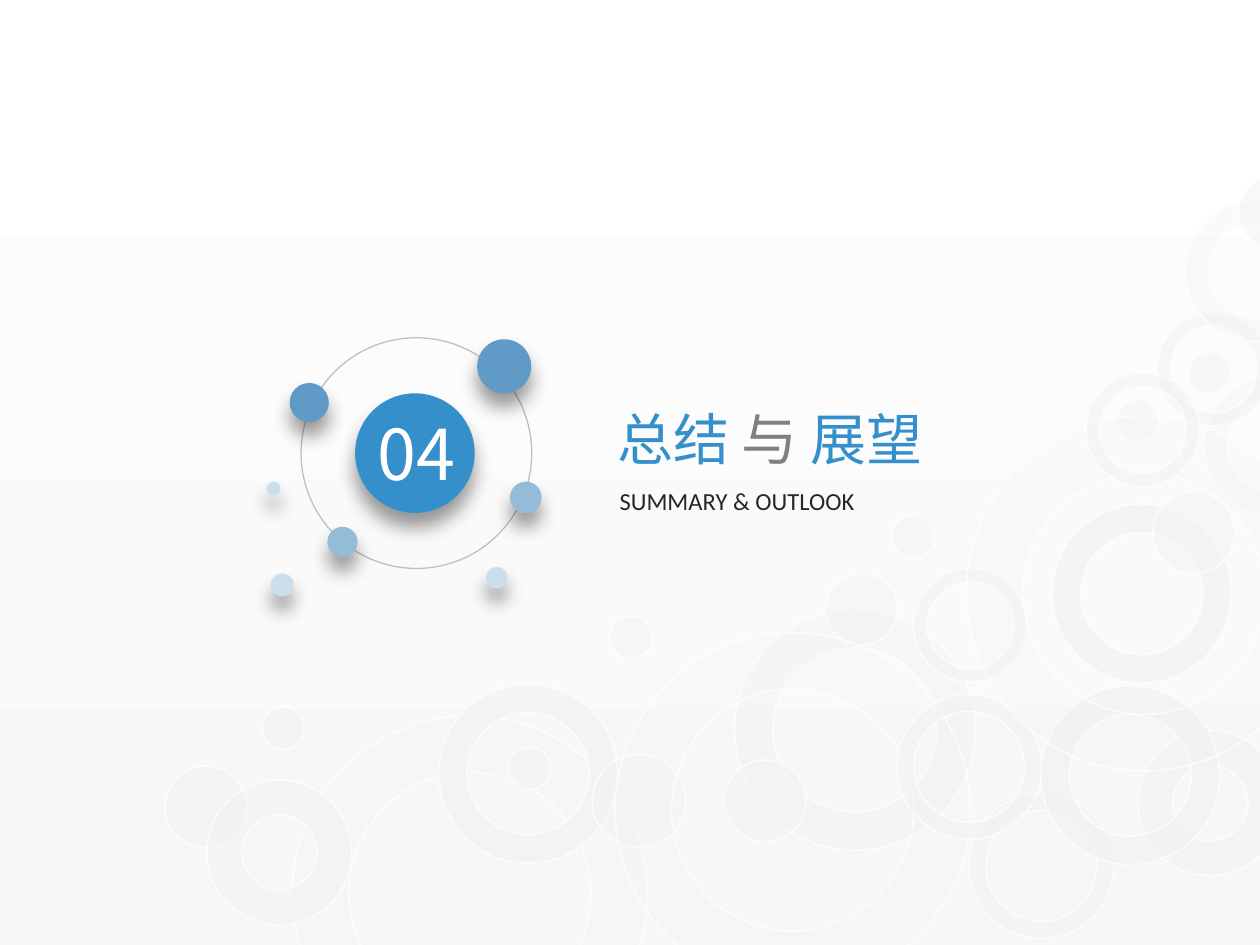
from dataclasses import dataclass

from lxml import etree
from pptx import Presentation
from pptx import util as u
from pptx.dml.color import RGBColor
from pptx.enum import shapes, text
from pptx.oxml.ns import qn


@dataclass(frozen=True)
class Theme:
    white: str = "FFFFFF"
    background_end: str = "F7F7F7"
    bubble: str = "F2F2F2"
    orbit: str = "BFBFBF"
    accent: str = "358FCB"
    strong: str = "5F9BC6"
    medium: str = "94BCD9"
    light: str = "CADEEC"
    muted: str = "808080"
    body: str = "262626"
    shadow: str = "000000"
    number_font: str = "Noto Sans CJK SC"
    title_font: str = "Manrope"
    subtitle_font: str = "Calibri"
    number_size: int = 40
    title_size: int = 32
    subtitle_size: int = 14


THEME = Theme()

# Bubble kind: diameter in cm, ring thickness ratio (None for a disc), opacity in percent
BUBBLES = {
    "giant": (7.16, 0.159, 13),
    "wide": (4.85, 0.159, 42),
    "bold": (3.61, 0.159, 75),
    "pale": (2.84, 0.159, 31),
    "thick": (2.92, 0.24, 54),
    "slim": (2.92, 0.117, 54),
    "slim small": (2.29, 0.117, 54),
    "disc large": (1.88, None, 39),
    "disc": (1.65, None, 47),
    "disc small": (1.45, None, 47),
    "dot": (0.86, None, 47),
}

# Clusters from back to front: rotation, then kind, left and top in cm
CLUSTERS = [
    (101.7, [
        ("bold", 21.21, 10.16), ("pale", 24.28, 7.57), ("giant", 5.89, 14.43),
        ("slim", 19.53, 16), ("slim small", 23.32, 6.3), ("disc", 23.24, 9.91),
        ("dot", 22.5, 8.05),
    ]),
    (341.7, [
        ("wide", 14.81, 12.29), ("bold", 8.84, 13.79), ("disc large", 11.94, 15.21),
        ("disc small", 16.64, 11.56), ("giant", 12.4, 12.75), ("slim", 18.08, 14),
        ("slim small", 18.42, 11.46), ("thick", 22.94, 14.73), ("dot", 12.29, 12.42),
        ("disc", 3.33, 15.44), ("dot", 10.24, 15.06), ("dot", 17.98, 10.39),
    ]),
    (176.7, [
        ("bold", 20.98, 13.82), ("pale", 23.9, 4.04), ("disc small", 24.97, 3.56),
        ("giant", 19.48, 8.38), ("slim small", 21.89, 7.52), ("thick", 4.17, 15.72),
        ("dot", 23.95, 7.09), ("disc", 14.6, 15.32), ("dot", 5.28, 14.25),
    ]),
]

# Satellites: left and top inside the badge, diameter (cm), colour
SATELLITES = [
    (4.24, 0.03, 1.09, THEME.strong),
    (0.46, 0.91, 0.79, THEME.strong),
    (0.08, 4.75, 0.46, THEME.light),
    (1.22, 3.81, 0.61, THEME.medium),
    (4.9, 2.9, 0.64, THEME.medium),
    (4.42, 4.62, 0.43, THEME.light),
    (0, 2.9, 0.28, THEME.light),
]


def rgb(colour):
    return RGBColor.from_string(colour)


def set_opacity(fill, percent):
    for colour in fill._xPr.iter(qn("a:srgbClr")):
        etree.SubElement(colour, qn("a:alpha"), val=str(percent * 1000))


def add_circle(slide, left, top, diameter, fill=None, ring=None):
    """Add a lineless disc, or a donut when ring gives its thickness ratio."""
    kind = shapes.MSO_SHAPE.OVAL if ring is None else shapes.MSO_SHAPE.DONUT
    circle = slide.shapes.add_shape(
        kind, u.Cm(left), u.Cm(top), u.Cm(diameter), u.Cm(diameter))
    circle.shadow.inherit = False
    circle.line.fill.background()
    if ring is not None:
        circle.adjustments[0] = ring
    if fill:
        circle.fill.solid()
        circle.fill.fore_color.rgb = rgb(fill)
    else:
        circle.fill.background()
    return circle


def set_outline(shape, colour, width):
    shape.line.color.rgb = rgb(colour)
    shape.line.width = u.Pt(width)


def add_soft_shadow(shape):
    effects = shape._element.spPr.find(qn("a:effectLst"))
    shadow = etree.SubElement(
        effects, qn("a:outerShdw"), blurRad=str(u.Pt(11)), dist=str(u.Pt(8)),
        dir=str(90 * 60000), algn="t", rotWithShape="0")
    colour = etree.SubElement(shadow, qn("a:srgbClr"), val=THEME.shadow)
    etree.SubElement(colour, qn("a:alpha"), val="40000")


def add_text(slide, left, top, width, height, runs, font, size, wrap=True):
    """Add a one-paragraph text box from (words, colour) runs; return the paragraph."""
    box = slide.shapes.add_textbox(u.Cm(left), u.Cm(top), u.Cm(width), u.Cm(height))
    frame = box.text_frame
    frame.word_wrap = wrap
    frame.auto_size = text.MSO_AUTO_SIZE.SHAPE_TO_FIT_TEXT
    paragraph = frame.paragraphs[0]
    for words, colour in runs:
        run = paragraph.add_run()
        run.text = words
        run.font.name = font
        run.font.size = u.Pt(size)
        run.font.color.rgb = rgb(colour)
    return paragraph


def paint_background(slide):
    fill = slide.background.fill
    fill.gradient()
    fill.gradient_angle = 270
    for stop, colour in zip(fill.gradient_stops, (THEME.white, THEME.background_end)):
        stop.color.rgb = rgb(colour)


def add_bubbles(slide):
    for rotation, bubbles in CLUSTERS:
        for kind, left, top in bubbles:
            diameter, ring, opacity = BUBBLES[kind]
            bubble = add_circle(slide, left, top, diameter, THEME.bubble, ring)
            bubble.rotation = rotation
            set_opacity(bubble.fill, opacity)
            set_outline(bubble, THEME.white, 1)
            set_opacity(bubble.line.fill, 70)


def add_number_badge(slide, left, top, number):
    orbit = add_circle(slide, left + 0.69, top, 4.65)
    set_outline(orbit, THEME.orbit, 0.75)
    add_soft_shadow(add_circle(slide, left + 1.78, top + 1.12, 2.41, THEME.accent))
    paragraph = add_text(
        slide, left + 1.88, top + 1.35, 2.26, 1.96, [(number, THEME.white)],
        THEME.number_font, THEME.number_size)
    paragraph.alignment = text.PP_ALIGN.CENTER
    for dx, dy, diameter, colour in SATELLITES:
        add_soft_shadow(add_circle(slide, left + dx, top + dy, diameter, colour))


def add_heading(slide, left, top, title_runs, subtitle):
    add_text(slide, left, top, 6.81, 1.63, title_runs,
             THEME.title_font, THEME.title_size, wrap=False)
    paragraph = add_text(
        slide, left + 0.05, top + 1.35, 6.93, 1.07, [(subtitle, THEME.body)],
        THEME.subtitle_font, THEME.subtitle_size)
    paragraph.line_spacing = 1.5


def add_section_slide(presentation):
    slide = presentation.slides.add_slide(presentation.slide_layouts[6])
    paint_background(slide)
    add_bubbles(slide)
    add_number_badge(slide, 5.38, 6.81, "04")
    title = [("总结 ", THEME.accent), ("与 ", THEME.muted), ("展望", THEME.accent)]
    add_heading(slide, 12.19, 8.03, title, "SUMMARY & OUTLOOK")


def main():
    presentation = Presentation()
    presentation.slide_width = u.Cm(25.4)
    presentation.slide_height = u.Cm(19.05)
    add_section_slide(presentation)
    presentation.save("out.pptx")


if __name__ == "__main__":
    main()
